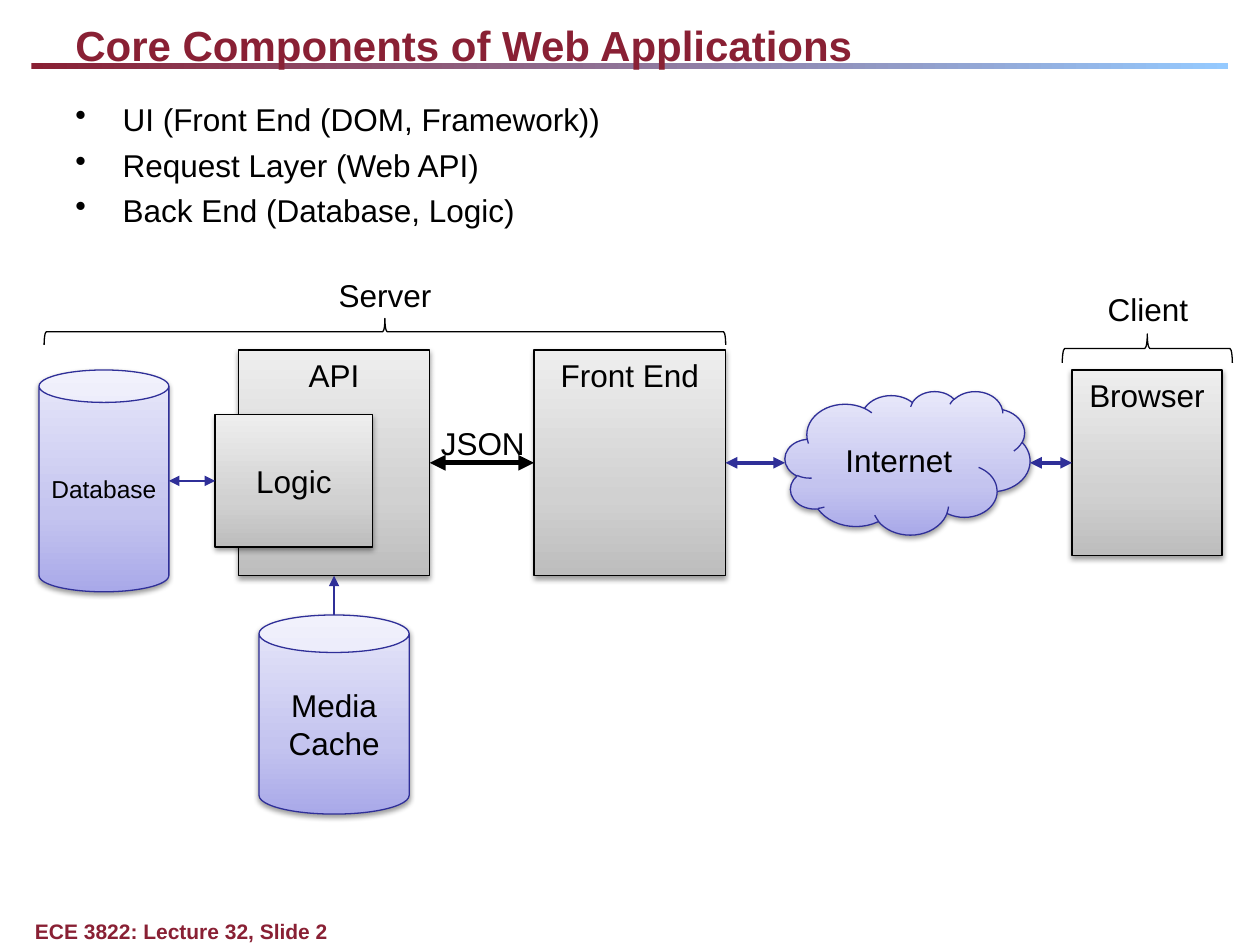
import pptx
import pptx.util
import pptx.dml.color
import pptx.enum.shapes
import pptx.enum.text
import pptx.oxml
import pptx.oxml.ns
from lxml import etree

Pt = pptx.util.Pt
qn = pptx.oxml.ns.qn
MSO = pptx.enum.shapes.MSO_SHAPE
ALIGN = pptx.enum.text.PP_ALIGN
ANCHOR = pptx.enum.text.MSO_ANCHOR

MAROON, NAVY, BLACK = "892034", "2F2F98", "000000"
BAR = [(0, MAROON), (100, "95CAFF")]
LILAC = [(0, "A9A9E9"), (35, "C4C4EF"), (100, "E8E8FA")]
GREY = [(0, "BDBDBD"), (35, "D1D1D1"), (100, "EEEEEE")]
TOP, LEFT, BOTTOM, RIGHT = range(4)

BULLETS = ["UI (Front End (DOM, Framework))", "Request Layer (Web API)", "Back End (Database, Logic)"]
NODES = [
    ("Internet", MSO.CLOUD, (448.6, 223.5, 140, 82), 18, ANCHOR.MIDDLE),
    ("Browser", MSO.RECTANGLE, (612.6, 211.5, 85.7, 106), 18, ANCHOR.TOP),
    ("Media Cache", MSO.CAN, (148, 351.4, 85.8, 113.8), 18, ANCHOR.MIDDLE),
    ("API", MSO.RECTANGLE, (136.2, 200, 109.4, 129), 18, ANCHOR.TOP),
    ("Front End", MSO.RECTANGLE, (305.2, 200, 109.4, 129), 18, ANCHOR.TOP),
    ("Database", MSO.CAN, (22.3, 211.4, 74.2, 126.8), 14, ANCHOR.MIDDLE),
    ("Logic", MSO.RECTANGLE, (122.9, 237, 90, 75.6), 18, ANCHOR.MIDDLE),
]
LINKS = [
    ("Media Cache", TOP, "API", BOTTOM, NAVY, 0.75, False),
    ("Front End", RIGHT, "Internet", LEFT, NAVY, 2.25, True),
    ("Internet", RIGHT, "Browser", LEFT, NAVY, 2.25, True),
    ("API", RIGHT, "Front End", LEFT, BLACK, 3, True),
    ("Database", RIGHT, "Logic", LEFT, NAVY, 0.75, True),
]
BRACES = [(647.3, 150.5, 16.6, 97.2), (212.4, -5.2, 15.1, 389.5)]
LABELS = [
    ("JSON", (244.8, 238.5, 87.8, 28.8), ALIGN.LEFT),
    ("Client", (622.1, 162, 67.7, 28.8), ALIGN.CENTER),
    ("Server", (121.7, 154, 196.6, 28.8), ALIGN.CENTER),
]


def rgb(value):
    return pptx.dml.color.RGBColor.from_string(value)


def color_xml(parent, value):
    return etree.SubElement(parent, qn("a:srgbClr"), val=value)


def fill_gradient(sp, stops, angle):
    sp.fill.gradient()
    sp.fill.gradient_angle = angle
    gs_list = sp._element.spPr.find(qn("a:gradFill")).find(qn("a:gsLst"))
    for gs in list(gs_list):
        gs_list.remove(gs)
    for pos, value in stops:
        color_xml(etree.SubElement(gs_list, qn("a:gs"), pos=str(pos * 1000)), value)


def add_shadow(sp):
    effects = sp._element.spPr.find(qn("a:effectLst"))
    shadow = etree.SubElement(effects, qn("a:outerShdw"), blurRad=str(Pt(3.1)),
                              dist=str(Pt(1.6)), dir="5400000", rotWithShape="0")
    etree.SubElement(color_xml(shadow, BLACK), qn("a:alpha"), val="38000")


def add_shape(s, kind, box):
    sp = s.shapes.add_shape(kind, *map(Pt, box))
    sp.shadow.inherit = False
    return sp


def set_outline(sp, color, width):
    sp.line.color.rgb = rgb(color)
    sp.line.width = Pt(width)


def style(p, size, color=BLACK, bold=False, align=ALIGN.LEFT):
    p.alignment = align
    p.font.name = "Arial"
    p.font.size = Pt(size)
    p.font.bold = bold
    p.font.color.rgb = rgb(color)


def add_text(s, text, box, size, color=BLACK, bold=False, align=ALIGN.LEFT):
    tf = s.shapes.add_textbox(*map(Pt, box)).text_frame
    tf.word_wrap = True
    tf.text = text
    for p in tf.paragraphs:
        style(p, size, color, bold, align)
    return tf


def add_node(s, text, kind, box, size, anchor):
    sp = add_shape(s, kind, box)
    is_rect = kind == MSO.RECTANGLE
    fill_gradient(sp, GREY if is_rect else LILAC, 90)
    set_outline(sp, BLACK if is_rect else NAVY, 0.75)
    add_shadow(sp)
    tf = sp.text_frame
    tf.word_wrap = True
    tf.vertical_anchor = anchor
    tf.margin_left = tf.margin_right = Pt(5)
    tf.text = text
    style(tf.paragraphs[0], size, align=ALIGN.CENTER)
    return sp


def side_point(sp, side):
    x, y = sp.left + sp.width // 2, sp.top + sp.height // 2
    return [(x, sp.top), (sp.left, y), (x, sp.top + sp.height), (sp.left + sp.width, y)][side]


def add_link(s, start, side1, end, side2, color, width, both):
    line = s.shapes.add_connector(pptx.enum.shapes.MSO_CONNECTOR.STRAIGHT,
                                  *side_point(start, side1), *side_point(end, side2))
    for sp, side, connect in ((start, side1, line.begin_connect), (end, side2, line.end_connect)):
        if sp.auto_shape_type == MSO.RECTANGLE:
            connect(sp, side)
    set_outline(line, color, width)
    ln = line.line._get_or_add_ln()
    for tag in ("a:headEnd", "a:tailEnd") if both else ("a:tailEnd",):
        etree.SubElement(ln, qn(tag), type="triangle")
    etree.SubElement(line._element.spPr, qn("a:effectLst"))


def add_bullets(s):
    tf = add_text(s, "\n".join(BULLETS), (36, 51.8, 648, 356.4), 18)
    tf.margin_top = Pt(5.6)
    for i, p in enumerate(tf.paragraphs):
        if i:
            p.space_before = Pt(4.3)
        pPr = p._p.get_or_add_pPr()
        pPr.set("marL", str(Pt(27)))
        pPr.set("indent", str(-Pt(27)))
        bullet = pptx.oxml.parse_xml(
            '<a:buChar xmlns:a="http://schemas.openxmlformats.org/drawingml/2006/main" char="•"/>')
        pPr.insert_element_before(bullet, "a:tabLst", "a:defRPr", "a:extLst")


def main():
    prs = pptx.Presentation()
    prs.slide_width, prs.slide_height = Pt(720), Pt(540)
    s = prs.slides.add_slide(prs.slide_layouts[6])

    bar = add_shape(s, MSO.RECTANGLE, (18, 36, 684, 3.6))
    fill_gradient(bar, BAR, 0)
    bar.line.fill.background()

    footer = add_text(s, "ECE 3822: Lecture 32, Slide 2", (20, 523.4, 662.4, 14.4), 12, MAROON, True)
    footer.margin_left = footer.margin_right = footer.margin_bottom = 0
    footer.margin_top = Pt(1.5)
    title = add_text(s, "Core Components of Web Applications", (36, 4.3, 648, 29.5), 24, MAROON, True)
    title.margin_top = Pt(6.6)
    add_bullets(s)

    nodes = {node[0]: add_node(s, *node) for node in NODES}
    for start, side1, end, side2, color, width, both in LINKS:
        add_link(s, nodes[start], side1, nodes[end], side2, color, width, both)
    for box in BRACES:
        brace = add_shape(s, MSO.RIGHT_BRACE, box)
        brace.rotation = 270
        brace.fill.background()
        set_outline(brace, BLACK, 0.75)
    for text, box, align in LABELS:
        add_text(s, text, box, 18, align=align)

    prs.save("out.pptx")


if __name__ == "__main__":
    main()
